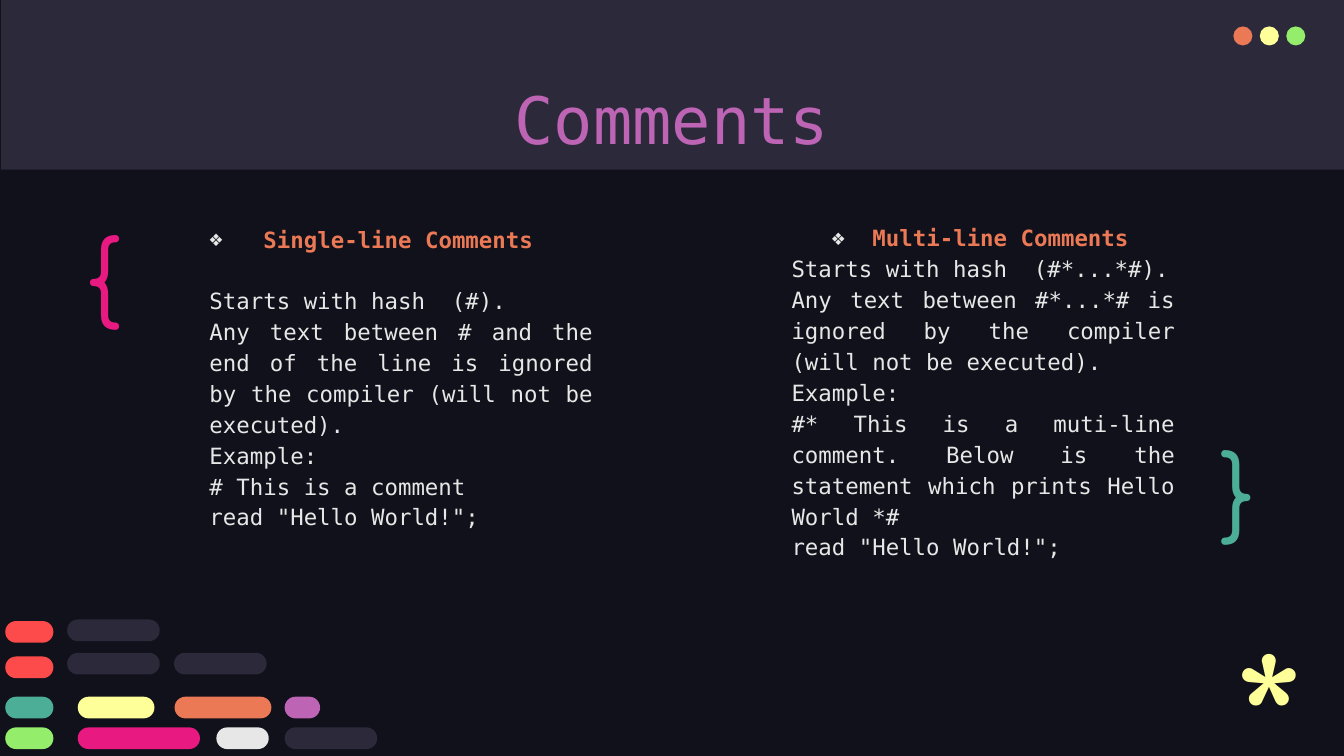
from dataclasses import dataclass
from typing import Any

from lxml import etree
from pptx import Presentation, util as u
from pptx.dml.color import RGBColor
from pptx.enum import shapes, text
from pptx.oxml import ns

COLORS = {
    "night": "10111A", "slate": "2C293A", "orange": "EC7955", "yellow": "FFFF99",
    "green": "94EE6B", "purple": "BD64B5", "white": "E7E7E7", "pink": "E81A81",
    "teal": "4CAE97", "red": "FD4A4A",
}
MONO, ROUNDED = "DejaVu Sans Mono", "Comfortaa"
SHAPE, ALIGN, ANCHOR = shapes.MSO_SHAPE, text.PP_ALIGN, text.MSO_ANCHOR


@dataclass
class CodeSlide:
    """Draws the elements of a code-editor themed slide, measured in centimetres."""

    slide: Any
    line_spacing: float = 1.15
    body_size: int = 12

    def color(self, name):
        return RGBColor.from_string(COLORS[name])

    def background(self, name):
        fill = self.slide.background.fill
        fill.solid()
        fill.fore_color.rgb = self.color(name)

    def block(self, kind, box, fill):
        block = self.slide.shapes.add_shape(kind, *map(u.Cm, box))
        block.shadow.inherit = False
        block.fill.solid()
        block.fill.fore_color.rgb = self.color(fill)
        block.line.fill.background()
        return block

    def pill(self, left, top, width, fill):
        pill = self.block(SHAPE.ROUNDED_RECTANGLE, (left, top, width, 0.41), fill)
        pill.adjustments[0] = 0.5

    def frame(self, box, anchor=ANCHOR.TOP):
        frame = self.slide.shapes.add_textbox(*map(u.Cm, box)).text_frame
        frame.word_wrap = True
        frame.vertical_anchor = anchor
        frame.margin_left = frame.margin_right = u.Cm(0.25)
        frame.margin_top = frame.margin_bottom = u.Cm(0.25)
        return frame

    def run(self, paragraph, words, size, font, color, bold=False):
        run = paragraph.add_run()
        run.text = words
        run.font.size = u.Pt(size)
        run.font.name = font
        run.font.bold = bold
        run.font.color.rgb = self.color(color)

    def label(self, box, words, size, font, color, align=ALIGN.LEFT, anchor=ANCHOR.TOP):
        paragraph = self.frame(box, anchor).paragraphs[0]
        paragraph.alignment = align
        self.run(paragraph, words, size, font, color)

    def bullet(self, paragraph, margin, hang):
        props = paragraph._p.get_or_add_pPr()
        props.set("marL", str(u.Cm(margin)))
        props.set("indent", str(-u.Cm(hang)))
        tint = etree.SubElement(props, ns.qn("a:buClr"))
        etree.SubElement(tint, ns.qn("a:srgbClr"), val=COLORS["white"])
        etree.SubElement(props, ns.qn("a:buFont"), typeface=MONO)
        etree.SubElement(props, ns.qn("a:buChar"), char="❖")

    def column(self, left, top, heading, lines, margin, hang, gap):
        frame = self.frame((left, top, 7.75, 4.11))
        title = frame.paragraphs[0]
        self.bullet(title, margin, hang)
        title.line_spacing = self.line_spacing
        title.space_after = u.Pt(gap)
        self.run(title, heading, self.body_size, MONO, "orange", bold=True)
        for line in lines:
            paragraph = frame.add_paragraph()
            paragraph.alignment = ALIGN.JUSTIFY
            paragraph.line_spacing = self.line_spacing
            self.run(paragraph, line, self.body_size, MONO, "white")


def main():
    deck = Presentation()
    deck.slide_width, deck.slide_height = u.Cm(25.4), u.Cm(14.29)
    page = CodeSlide(deck.slides.add_slide(deck.slide_layouts[6]))
    page.background("night")

    page.block(SHAPE.RECTANGLE, (0.02, 0, 25.38, 3.21), "slate")
    for i, tint in enumerate(("orange", "yellow", "green")):
        page.block(SHAPE.OVAL, (23.31 + 0.5 * i, 0.5, 0.36, 0.36), tint)
    page.label((2, 1.25, 21.4, 1.6), "Comments", 35, MONO, "purple", ALIGN.CENTER)

    page.column(14.71, 3.92, "Multi-line Comments", (
        "Starts with hash  (#*...*#).",
        "Any text between #*...*# is ignored by the compiler (will not be executed).",
        "Example:",
        "#* This is a muti-line comment. Below is the statement which prints Hello World *#",
        'read "Hello World!";',
    ), margin=1.53, hang=0.77, gap=0)
    page.column(3.71, 3.94, "Single-line Comments", (
        "Starts with hash  (#).",
        "Any text between # and the end of the line is ignored by the compiler "
        "(will not be executed).",
        "Example:",
        "# This is a comment",
        'read "Hello World!";',
    ), margin=1.02, hang=1.02, gap=16.5)

    page.label((1.37, 3.81, 1.96, 2.41), "{", 50, ROUNDED, "pink")
    page.label((22.81, 8.13, 1.45, 2.11), "}", 50, ROUNDED, "teal", anchor=ANCHOR.MIDDLE)
    page.label((23.09, 11.38, 1.45, 2.21), "*", 96, ROUNDED, "yellow")

    pill_rows = {
        11.71: ((1.27, 1.75, "slate"),),
        11.74: ((0.1, 0.91, "red"),),
        12.34: ((1.27, 1.75, "slate"), (3.29, 1.75, "slate")),
        12.41: ((0.1, 0.91, "red"),),
        13.17: ((0.1, 0.91, "teal"), (1.47, 1.45, "yellow"),
                (3.3, 1.83, "orange"), (5.38, 0.67, "purple")),
        13.75: ((0.1, 0.91, "green"), (1.47, 2.31, "pink"),
                (4.09, 0.99, "white"), (5.38, 1.75, "slate")),
    }
    for top, pills in pill_rows.items():
        for left, width, tint in pills:
            page.pill(left, top, width, tint)

    deck.save("out.pptx")


if __name__ == "__main__":
    main()
